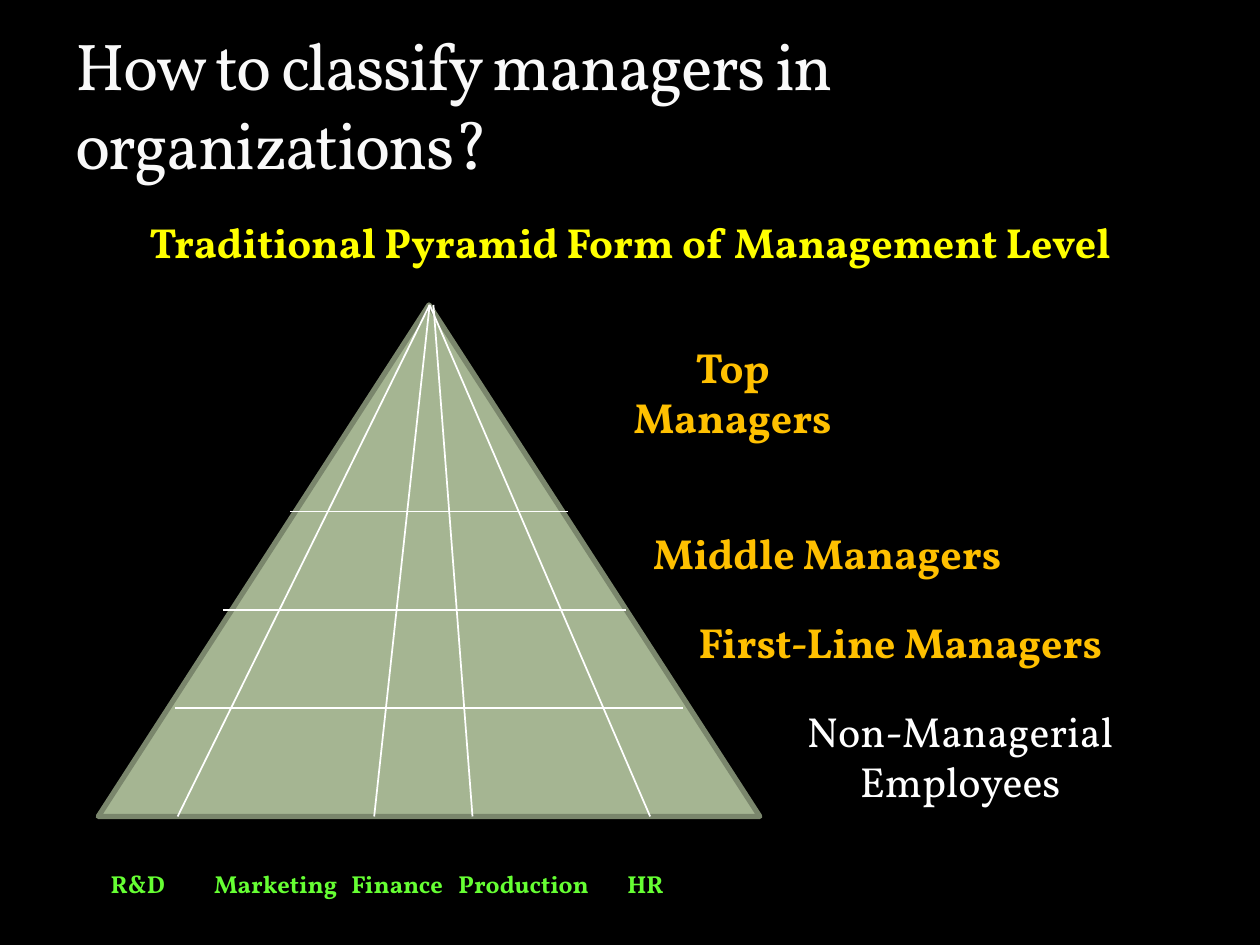
import pptx
import pptx.util
import pptx.dml.color
import pptx.enum.shapes
import pptx.enum.text
import lxml.etree
from pptx.oxml.ns import qn

Inches = pptx.util.Inches
Point = pptx.util.Pt
Align = pptx.enum.text.PP_ALIGN
Anchor = pptx.enum.text.MSO_ANCHOR

FONT = "Vollkorn"
COLORS = {
    "background": "000000", "title": "F9F9F9", "heading": "FFFF00",
    "manager": "FFC000", "employee": "FFFFFF", "department": "66FF33",
    "pyramid": "A5B592", "edge": "7A866C", "grid": "FFFFFF",
}
TITLE = "How to classify managers in organizations?"
HEADING = "Traditional Pyramid Form of Management Level"
LEVELS = [
    (["Top", "Managers"], (4.61, 2.66, 2.41, 0.91), "manager"),
    (["Middle Managers"], (5, 4.14, 3.13, 0.5), "manager"),
    (["First-Line Managers"], (5.31, 4.84, 3.67, 0.5), "manager"),
    (["Non-Managerial", "Employees"], (6.02, 5.55, 3.2, 0.91), "employee"),
]
DEPARTMENTS = ["R&D", "Marketing", "Finance", "Production", "HR"]
DEPARTMENT_TABS = [0.82, 1.91, 2.76, 4.1]
PYRAMID = (0.78, 2.42, 5.25, 4.06)
LEVEL_SPANS = [(2.3, 4.51), (1.77, 4.97), (1.39, 5.42)]
FIRST_LEVEL, LEVEL_GAP = 4.06, 0.78
DEPARTMENT_SPLITS = [(3.41, 1.41), (3.41, 2.97), (3.44, 3.75), (3.41, 5.16)]


def color(name):
    return pptx.dml.color.RGBColor.from_string(COLORS[name])


def add_text(lines, box, size, color_name, bold=True, align=Align.CENTER, anchor=Anchor.TOP):
    shape = slide.shapes.add_textbox(*map(Inches, box))
    frame = shape.text_frame
    frame.word_wrap = True
    frame.vertical_anchor = anchor
    frame.text = "\n".join(lines)
    for paragraph in frame.paragraphs:
        paragraph.alignment = align
        paragraph.font.name = FONT
        paragraph.font.size = Point(size)
        paragraph.font.bold = bold
        paragraph.font.color.rgb = color(color_name)
    return frame.paragraphs[0]


def add_line(left, top, right, bottom):
    line = slide.shapes.add_connector(
        pptx.enum.shapes.MSO_CONNECTOR.STRAIGHT, *map(Inches, (left, top, right, bottom)))
    line.line.color.rgb = color("grid")
    line.line.width = Point(1)
    lxml.etree.SubElement(line._element.spPr, qn("a:effectLst"))


presentation = pptx.Presentation()
presentation.slide_width, presentation.slide_height = Inches(10), Inches(7.5)
slide = presentation.slides.add_slide(presentation.slide_layouts[6])
slide.background.fill.solid()
slide.background.fill.fore_color.rgb = color("background")

add_text([HEADING], (0.5, 1.67, 9, 0.5), 24, "heading")
title = add_text([TITLE], (0.5, 0.17, 9, 1.33), 37.8, "title", False, Align.LEFT, Anchor.BOTTOM)
title.runs[0].font._element.set("spc", "-100")

pyramid = slide.shapes.add_shape(
    pptx.enum.shapes.MSO_SHAPE.ISOSCELES_TRIANGLE, *map(Inches, PYRAMID))
pyramid.shadow.inherit = False
pyramid.fill.solid()
pyramid.fill.fore_color.rgb = color("pyramid")
pyramid.line.color.rgb = color("edge")
pyramid.line.width = Point(3)
lxml.etree.SubElement(pyramid.line._ln, qn("a:round"))

for lines, box, color_name in LEVELS:
    add_text(lines, box, 24, color_name, color_name == "manager")
for row, (left, right) in enumerate(LEVEL_SPANS):
    level = FIRST_LEVEL + row * LEVEL_GAP
    add_line(left, level, right, level)
for apex, base in DEPARTMENT_SPLITS:
    add_line(apex, PYRAMID[1], base, PYRAMID[1] + PYRAMID[3])

departments = add_text(["\t".join(DEPARTMENTS)], (0.78, 6.85, 5.55, 0.34), 14, "department",
                       align=Align.LEFT)
tabs = lxml.etree.Element(qn("a:tabLst"))
for position in DEPARTMENT_TABS:
    lxml.etree.SubElement(tabs, qn("a:tab"), pos=str(Inches(position)), algn="l")
properties = departments._p.get_or_add_pPr()
properties.insert(0, tabs)

presentation.save("out.pptx")
